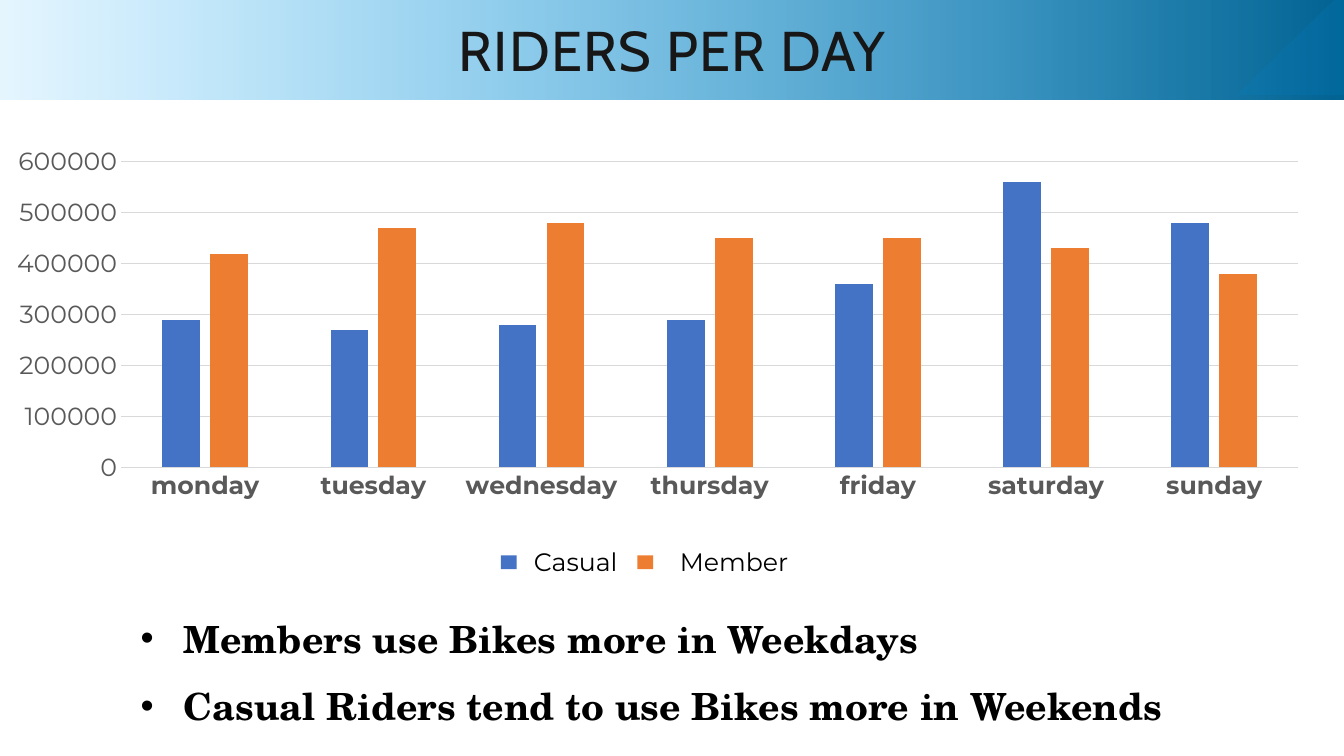
from dataclasses import dataclass

from lxml.etree import SubElement
from pptx import Presentation
from pptx.chart.data import CategoryChartData
from pptx.dml.color import RGBColor
from pptx.enum.chart import XL_CHART_TYPE, XL_TICK_MARK
from pptx.enum.shapes import MSO_SHAPE
from pptx.enum.text import MSO_ANCHOR, MSO_AUTO_SIZE, PP_ALIGN
from pptx.oxml.ns import qn
from pptx.util import Pt

EMU_PER_PX = 9525


def px(length: int) -> int:
    return length * EMU_PER_PX


@dataclass(frozen=True)
class Theme:
    band_start: str = "00A6FB"
    band_end: str = "006494"
    corner: str = "0582CA"
    title: str = "181717"
    text: str = "000000"
    axis: str = "595959"
    grid: str = "D9D9D9"
    title_font: str = "Cabin"
    chart_font: str = "Montserrat"
    list_font: str = "TeX Gyre Schola"
    title_size: float = 40
    list_size: float = 26.7
    label_size: float = 18
    chart_size: float = 10


@dataclass(frozen=True)
class Box:
    left: int
    top: int
    width: int
    height: int

    def emu(self) -> tuple[int, ...]:
        return tuple(map(px, (self.left, self.top, self.width, self.height)))


@dataclass(frozen=True)
class RiderGroup:
    name: str
    color: str
    riders: tuple[int, ...]
    key_left: int
    label: Box


@dataclass(frozen=True)
class Finding:
    text: str
    line_spacing: float


THEME = Theme()
DAYS = ("monday", "tuesday", "wednesday", "thursday", "friday", "saturday", "sunday")
GROUPS = (
    RiderGroup("Casual", "4472C4",
               (290000, 270000, 280000, 290000, 360000, 560000, 480000),
               477, Box(499, 516, 109, 38)),
    RiderGroup("Member", "ED7D31",
               (420000, 470000, 480000, 450000, 450000, 430000, 380000),
               607, Box(638, 516, 154, 38)),
)
FINDINGS = (
    Finding("Members use Bikes more in Weekdays", Pt(43.5)),
    Finding("Casual Riders tend to use Bikes more in Weekends", 1.5),
)


def rgb(color: str) -> RGBColor:
    return RGBColor.from_string(color)


def style(font, face: str, size: float, color: str, bold: bool = False) -> None:
    font.name, font.size, font.bold = face, Pt(size), bold
    font.color.rgb = rgb(color)


def add_flat(slide, preset, box: Box, color: str):
    shape = slide.shapes.add_shape(preset, *box.emu())
    shape.shadow.inherit = False
    shape.line.fill.background()
    shape.fill.solid()
    shape.fill.fore_color.rgb = rgb(color)
    return shape


def set_alpha(shape, color: str, percent: int) -> None:
    for node in shape.element.iter(qn("a:srgbClr")):
        if node.get("val") == color:
            SubElement(node, qn("a:alpha")).set("val", str(percent * 1000))


def place(holder, box: Box):
    holder.left, holder.top, holder.width, holder.height = box.emu()
    frame = holder.text_frame
    frame.margin_left = frame.margin_top = frame.margin_right = frame.margin_bottom = 0
    frame.vertical_anchor = MSO_ANCHOR.TOP
    frame.auto_size = MSO_AUTO_SIZE.NONE
    frame.word_wrap = True
    return frame


def add_header(slide) -> None:
    band = add_flat(slide, MSO_SHAPE.RECTANGLE, Box(-11, -12, 1291, 107), THEME.band_end)
    band.fill.gradient()
    band.fill.gradient_angle = 0
    for stop, color, position in zip(band.fill.gradient_stops,
                                     (THEME.band_start, THEME.band_end), (0, 1)):
        stop.color.rgb = rgb(color)
        stop.position = position
    set_alpha(band, THEME.band_start, 10)

    title = slide.shapes.title
    title.element.addprevious(band.element)
    heading = place(title, Box(121, 15, 1039, 64)).paragraphs[0]
    heading.alignment = PP_ALIGN.CENTER
    heading.line_spacing = Pt(48)
    run = heading.add_run()
    run.text = "RIDERS PER DAY"
    style(run.font, THEME.title_font, THEME.title_size, THEME.title)
    for properties in title.element.iter(qn("a:rPr")):
        properties.set("spc", "90")


def add_findings(slide) -> None:
    frame = place(slide.placeholders[1], Box(92, 571, 1067, 116))
    for number, finding in enumerate(FINDINGS):
        paragraph = frame.add_paragraph() if number else frame.paragraphs[0]
        paragraph.level = 1
        properties = paragraph._p.get_or_add_pPr()
        properties.set("marL", str(px(83)))
        properties.set("indent", str(px(-41)))
        SubElement(properties, qn("a:buFont")).set("typeface", "Arial")
        SubElement(properties, qn("a:buChar")).set("char", "•")
        paragraph.line_spacing = finding.line_spacing
        paragraph.space_before = Pt(0)
        run = paragraph.add_run()
        run.text = finding.text
        style(run.font, THEME.list_font, THEME.list_size, THEME.text, bold=True)


def add_rider_chart(slide) -> None:
    data = CategoryChartData(number_format="0")
    data.categories = DAYS
    for group in GROUPS:
        data.add_series(group.name, group.riders)
    chart = slide.shapes.add_chart(
        XL_CHART_TYPE.COLUMN_CLUSTERED, *Box(4, 140, 1280, 375).emu(), data).chart
    chart.has_legend = chart.has_title = False
    style(chart.font, THEME.chart_font, THEME.chart_size, THEME.text)

    plot = chart.plots[0]
    plot.vary_by_categories = False
    plot.gap_width, plot.overlap = 219, -27
    for series, group in zip(plot.series, GROUPS):
        series.format.fill.solid()
        series.format.fill.fore_color.rgb = rgb(group.color)

    # Axes and gridlines
    days, riders = chart.category_axis, chart.value_axis
    for axis in (days, riders):
        axis.major_tick_mark = axis.minor_tick_mark = XL_TICK_MARK.NONE
        style(axis.tick_labels.font, THEME.chart_font, THEME.label_size,
              THEME.axis, bold=axis is days)
    riders.minimum_scale, riders.maximum_scale, riders.major_unit = 0, 600000, 100000
    riders.format.line.fill.background()
    for line in (days.format.line, riders.major_gridlines.format.line):
        line.color.rgb = rgb(THEME.grid)
        line.width = Pt(0.75)

    # Fixed inner plot area
    area = chart.element.find(".//" + qn("c:plotArea"))
    layout = area.find(qn("c:layout"))
    if layout is None:
        layout = area.makeelement(qn("c:layout"))
        area.insert(0, layout)
    manual = SubElement(layout, qn("c:manualLayout"))
    for tag, value in (("layoutTarget", "inner"), ("xMode", "edge"), ("yMode", "edge"),
                       ("x", "0.087"), ("y", "0.019"), ("w", "0.876"), ("h", "0.791")):
        SubElement(manual, qn(f"c:{tag}")).set("val", value)


def add_key(slide, group: RiderGroup) -> None:
    add_flat(slide, MSO_SHAPE.RECTANGLE, Box(group.key_left, 529, 15, 13), group.color)
    label = slide.shapes.add_textbox(*group.label.emu()).text_frame
    label.word_wrap = True
    run = label.paragraphs[0].add_run()
    run.text = group.name
    style(run.font, THEME.chart_font, THEME.label_size, THEME.text)


def main() -> None:
    deck = Presentation()
    deck.slide_width, deck.slide_height = px(1280), px(720)
    slide = deck.slides.add_slide(deck.slide_layouts[1])
    add_header(slide)
    add_findings(slide)
    add_rider_chart(slide)
    for group in GROUPS:
        add_key(slide, group)

    # Translucent corner on the header band
    corner = add_flat(slide, MSO_SHAPE.RIGHT_TRIANGLE, Box(1179, -12, 101, 104), THEME.corner)
    corner.rotation = 270
    set_alpha(corner, THEME.corner, 18)
    deck.save("out.pptx")


if __name__ == "__main__":
    main()
